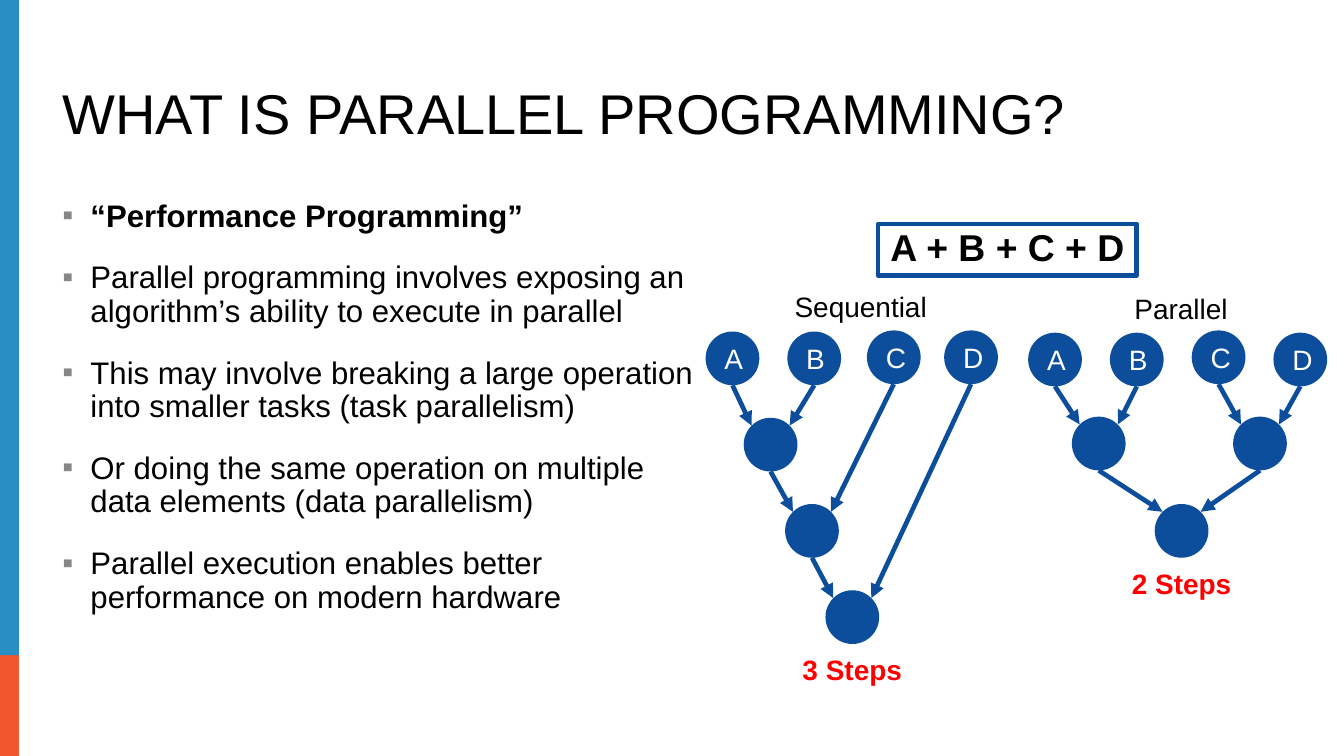
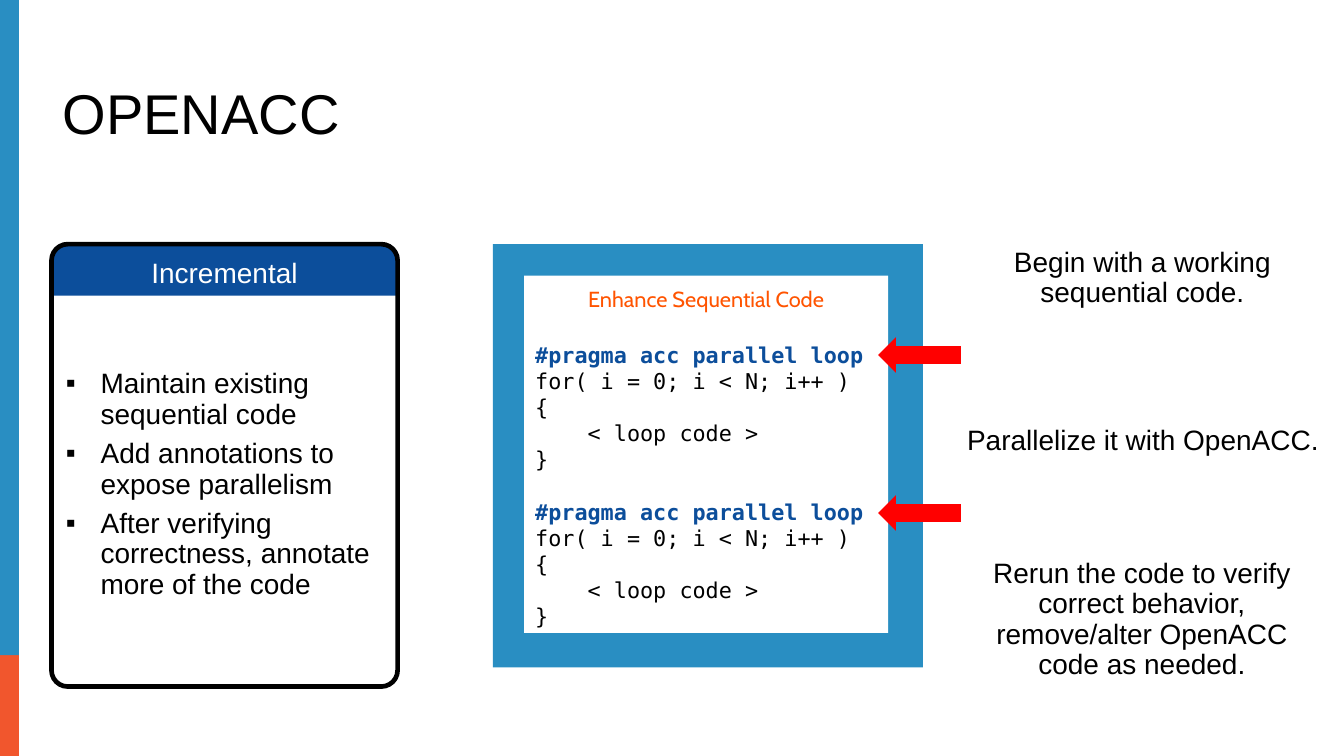
from lxml import etree
from pptx import Presentation
from pptx.dml.color import RGBColor
from pptx.enum.shapes import MSO_CONNECTOR, MSO_SHAPE
from pptx.enum.text import MSO_ANCHOR, MSO_AUTO_SIZE, PP_ALIGN
from pptx.oxml.ns import qn
from pptx.util import Inches, Pt

RECT = MSO_SHAPE.RECTANGLE
ROUND = MSO_SHAPE.ROUNDED_RECTANGLE
SNIP = MSO_SHAPE.SNIP_2_SAME_RECTANGLE
OVAL = MSO_SHAPE.OVAL
ARROW = MSO_SHAPE.LEFT_ARROW
LINE = MSO_CONNECTOR.STRAIGHT
TOP, MIDDLE, BOTTOM = MSO_ANCHOR.TOP, MSO_ANCHOR.MIDDLE, MSO_ANCHOR.BOTTOM
LEFT, CENTER = PP_ALIGN.LEFT, PP_ALIGN.CENTER
FIXED = MSO_AUTO_SIZE.NONE

BLACK = RGBColor(0x00, 0x00, 0x00)
WHITE = RGBColor(0xFF, 0xFF, 0xFF)
NAVY = RGBColor(0x0C, 0x4E, 0x9B)
BLUE = RGBColor(0x29, 0x8E, 0xC2)
CORAL = RGBColor(0xF1, 0x56, 0x2D)
ORANGE = RGBColor(0xFF, 0x54, 0x00)
RED = RGBColor(0xFF, 0x00, 0x00)
GRAY = RGBColor(0x86, 0x86, 0x86)

SANS, MONO, CABIN = "Arial", "DejaVu Sans Mono", "Cabin"
NODE = 0.48
EDGE = 0.07


def bullet(para, color, indent):
    props = para._p.get_or_add_pPr()
    props.set("marL", str(Inches(indent)))
    props.set("indent", str(-Inches(indent)))
    tint = etree.SubElement(props, qn("a:buClr"))
    etree.SubElement(tint, qn("a:srgbClr"), val=str(color))
    etree.SubElement(props, qn("a:buFont"), typeface=SANS)
    etree.SubElement(props, qn("a:buChar"), char="▪")


def write(shape, lines, size=18, font=SANS, color=BLACK, bold=False,
          align=CENTER, anchor=MIDDLE, leading=0.9, gap=0, mark=None, indent=0):
    frame = shape.text_frame
    frame.word_wrap = True
    frame.auto_size = FIXED
    frame.vertical_anchor = anchor
    for i, line in enumerate(lines):
        text, own = line if isinstance(line, tuple) else (line, {})
        para = frame.add_paragraph() if i else frame.paragraphs[0]
        para.alignment = align
        para.line_spacing = leading
        para.space_before = Pt(own.get("gap", gap) if i else 0)
        if mark is not None:
            bullet(para, mark, indent)
        run = para.add_run()
        run.text = text
        run.font.size = Pt(size)
        run.font.name = font
        run.font.bold = own.get("bold", bold)
        run.font.color.rgb = own.get("color", color)


def label(slide, x, y, w, h, lines, **style):
    box = slide.shapes.add_textbox(Inches(x), Inches(y), Inches(w), Inches(h))
    write(box, lines, **style)


def block(slide, kind, x, y, w, h, fill=None, line=None, adjust=()):
    shape = slide.shapes.add_shape(kind, Inches(x), Inches(y), Inches(w), Inches(h))
    shape.shadow.inherit = False
    for i, value in enumerate(adjust):
        shape.adjustments[i] = value
    if fill is None:
        shape.fill.background()
    else:
        shape.fill.solid()
        shape.fill.fore_color.rgb = fill
    if line is None:
        shape.line.fill.background()
    else:
        shape.line.color.rgb = line
        shape.line.width = Pt(3)
    return shape


def arrow(slide, x1, y1, x2, y2):
    link = slide.shapes.add_connector(LINE, Inches(x1), Inches(y1), Inches(x2), Inches(y2))
    link.line.color.rgb = NAVY
    link.line.width = Pt(3)
    etree.SubElement(link.line._get_or_add_ln(), qn("a:tailEnd"), type="triangle")
    etree.SubElement(link._element.spPr, qn("a:effectLst"))


def start(deck, text):
    slide = deck.slides.add_slide(deck.slide_layouts[5])
    block(slide, RECT, 0, 5.07, 0.17, 1.68, CORAL)
    block(slide, RECT, 0, 0, 0.17, 5.85, BLUE)
    title = slide.shapes.title
    title.left, title.top = Inches(0.46), Inches(0.71)
    title.width, title.height = Inches(10.91), Inches(0.65)
    write(title, [text], size=36, align=LEFT, anchor=BOTTOM)
    return slide


def tree(slide, x, y, name, spot, leaves, joints, steps):
    label(slide, x + spot[0], y + spot[1], 1.61, 0.37, [name])
    nodes = [(x + dx, y + dy) for dx, dy in leaves + [j[:2] for j in joints]]
    for i, (nx, ny) in enumerate(nodes):
        node = block(slide, OVAL, nx, ny, NODE, NODE, NAVY)
        if i < len(leaves):
            write(node, ["ABCD"[i]], color=WHITE, leading=1)
    for (nx, ny), joint in zip(nodes[len(leaves):], joints):
        for parent, inset in zip(joint[2:], (EDGE, NODE - EDGE)):
            px, py = nodes[parent]
            arrow(slide, px + NODE / 2, py + NODE, nx + inset, ny + EDGE)
    nx, ny = nodes[-1]
    label(slide, nx + NODE / 2 - 0.55, ny + 0.54, 1.1, 0.37, [steps], color=RED, bold=True)


def intro(deck):
    slide = start(deck, "WHAT IS PARALLEL PROGRAMMING?")
    label(slide, 0.46, 1.74, 5.87, 4.07, [
        ("“Performance Programming”", {"bold": True}),
        "Parallel programming involves exposing an algorithm’s ability to execute in parallel",
        "This may involve breaking a large operation into smaller tasks (task parallelism)",
        "Or doing the same operation on multiple data elements (data parallelism)",
        "Parallel execution enables better performance on modern hardware",
    ], size=20, align=LEFT, anchor=TOP, gap=18, mark=GRAY, indent=0.25)
    sum_box = block(slide, RECT, 7.84, 2, 2.31, 0.46, line=NAVY)
    write(sum_box, ["A + B + C + D"], size=24, bold=True)
    tree(slide, 6.3, 2.95, "Sequential", (0.58, -0.38),
         [(0, 0.01), (0.73, 0.01), (1.44, 0), (2.13, 0)],
         [(0.34, 0.78, 0, 1), (0.71, 1.55, 4, 2), (1.07, 2.32, 5, 3)], "3 Steps")
    tree(slide, 9.18, 2.95, "Parallel", (0.56, -0.36),
         [(0, 0.02), (0.73, 0.02), (1.46, 0), (2.19, 0.02)],
         [(0.39, 0.77, 0, 1), (1.83, 0.77, 2, 3), (1.13, 1.55, 4, 5)], "2 Steps")


def card(slide, x, y, w, h):
    head = block(slide, SNIP, x, y, w, 0.46, NAVY, adjust=(0.223, 0))
    write(head, ["Incremental"], color=WHITE, leading=1)
    block(slide, ROUND, x, y, w, h, line=BLACK, adjust=(0.047,))
    label(slide, x + 0.03, y + 1.06, w, 2.18, [
        "Maintain existing sequential code",
        "Add annotations to expose parallelism",
        "After verifying correctness, annotate more of the code",
    ], align=LEFT, gap=6, mark=BLACK, indent=0.31)


def code(slide, x, y, w, h):
    block(slide, RECT, x, y, w, h, BLUE)
    left, wide = x + 0.28, 3.25
    block(slide, RECT, left, y + 0.28, wide, 3.19, WHITE)
    label(slide, left, y + 0.35, wide, 0.48, ["Enhance Sequential Code"],
          size=14, font=CABIN, color=ORANGE, anchor=TOP)
    loop = [
        ("#pragma acc parallel loop", {"color": NAVY, "bold": True, "gap": 16.8}),
        "for( i = 0; i < N; i++ )",
        "{",
        "    < loop code >",
        "}",
    ]
    label(slide, left, y + 0.82, wide, 2.69, loop * 2,
          size=14, font=MONO, align=LEFT, anchor=TOP, leading=1)
    for dy in (0.83, 2.24):
        block(slide, ARROW, x + 3.44, y + dy, 0.74, 0.32, RED)


def notes(slide, x, y):
    for dx, dy, w, h, text in (
        (0.37, 0, 2.66, 0.65, "Begin with a working sequential code."),
        (0.02, 1.6, 3.37, 0.37, "Parallelize it with OpenACC."),
        (0, 2.78, 3.39, 1.19,
         "Rerun the code to verify correct behavior, remove/alter OpenACC code as needed."),
    ):
        label(slide, x + dx, y + dy, w, h, [text])


def method(deck):
    slide = start(deck, "OPENACC")
    card(slide, 0.46, 2.18, 3.09, 3.95)
    code(slide, 4.4, 2.18, 3.84, 3.78)
    notes(slide, 8.5, 2.16)


def main():
    deck = Presentation()
    deck.slide_width, deck.slide_height = Inches(12), Inches(6.75)
    intro(deck)
    method(deck)
    deck.save("out.pptx")


if __name__ == "__main__":
    main()
